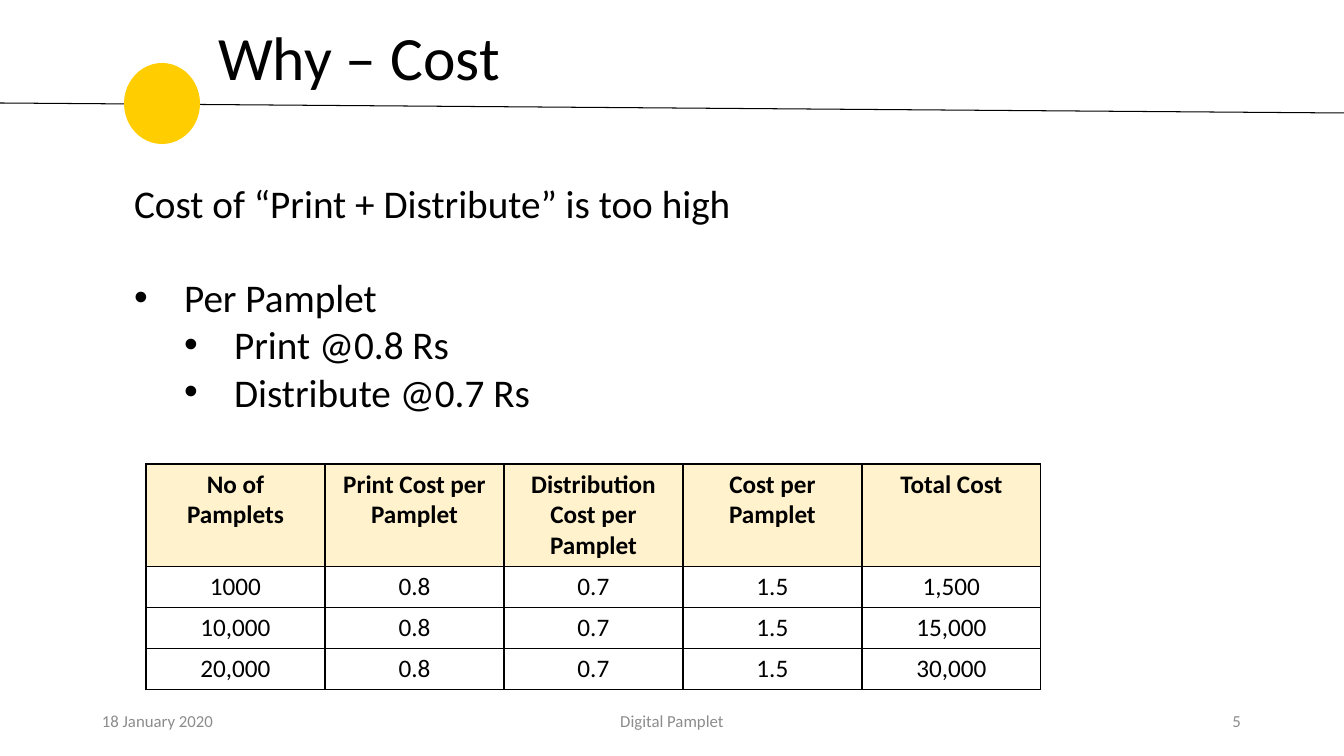
import dataclasses
import typing

import lxml.etree
import pptx
import pptx.dml.color
import pptx.enum.shapes
import pptx.enum.text
import pptx.oxml.ns
import pptx.util

EMU_PER_PIXEL = 914400 / 100.8
FONT = "Calibri"
COLOURS = {
    "ink": "000000",
    "footer": "8C8C8C",
    "accent": "FFCD00",
    "header": "FFF2CC",
}
ALIGN = pptx.enum.text.PP_ALIGN
ANCHOR = pptx.enum.text.MSO_ANCHOR


@dataclasses.dataclass(frozen=True)
class CostPoint:
    text: str
    level: int = 0
    bullet: bool = True
    space_before: int = 0


@dataclasses.dataclass(frozen=True)
class FooterPart:
    text: str
    left: int
    width: int
    align: ALIGN


def px(pixels: int) -> int:
    return pptx.util.Emu(round(pixels * EMU_PER_PIXEL))


def colour(name: str) -> pptx.dml.color.RGBColor:
    return pptx.dml.color.RGBColor.from_string(COLOURS[name])


def add_element(parent: typing.Any, tag: str, **attributes: str) -> typing.Any:
    return lxml.etree.SubElement(parent, pptx.oxml.ns.qn(tag), attributes)


def write_text(paragraph: typing.Any, text: str, *, size: int, ink: str = "ink",
               bold: bool = False, align: ALIGN = ALIGN.LEFT,
               line_spacing: float = 1.0, space_before: int = 0) -> None:
    paragraph.alignment = align
    paragraph.line_spacing = line_spacing
    paragraph.space_before = pptx.util.Pt(space_before)
    run = paragraph.add_run()
    run.text = text
    run.font.name = FONT
    run.font.size = pptx.util.Pt(size)
    run.font.bold = bold
    run.font.color.rgb = colour(ink)


def place(shape: typing.Any, left: int, top: int, width: int, height: int) -> None:
    shape.left, shape.top = px(left), px(top)
    shape.width, shape.height = px(width), px(height)


def prepare_frame(shape: typing.Any, anchor: ANCHOR) -> typing.Any:
    frame = shape.text_frame
    frame.word_wrap = True
    frame.auto_size = pptx.enum.text.MSO_AUTO_SIZE.NONE
    frame.vertical_anchor = anchor
    return frame


def add_header_rule(slide: typing.Any) -> None:
    rule = slide.shapes.add_connector(
        pptx.enum.shapes.MSO_CONNECTOR.STRAIGHT, px(0), px(103), px(1344), px(113))
    rule.line.color.rgb = colour("ink")
    rule.line.width = pptx.util.Pt(0.75)
    add_element(rule.element.spPr, "a:effectLst")
    dot = slide.shapes.add_shape(
        pptx.enum.shapes.MSO_SHAPE.OVAL, px(124), px(63), px(76), px(81))
    dot.shadow.inherit = False
    dot.fill.solid()
    dot.fill.fore_color.rgb = colour("accent")
    dot.line.fill.background()


def add_point(paragraph: typing.Any, point: CostPoint) -> None:
    paragraph.level = point.level
    write_text(paragraph, point.text, size=28, space_before=point.space_before)
    properties = paragraph._p.get_or_add_pPr()
    step = px(50)
    properties.set("marL", str(step * (point.level + 1) if point.bullet else 0))
    properties.set("indent", str(-step if point.bullet else 0))
    bullet = pptx.oxml.ns.qn("a:buChar" if point.bullet else "a:buNone")
    if point.bullet:
        add_element(properties, "a:buFont", typeface="Arial")
    marker = lxml.etree.SubElement(properties, bullet)
    if point.bullet:
        marker.set("char", "•")


def add_borders(cell: typing.Any) -> None:
    properties = cell._tc.get_or_add_tcPr()
    for position, side in enumerate(("a:lnL", "a:lnR", "a:lnT", "a:lnB")):
        border = add_element(properties, side, w=str(pptx.util.Pt(1)))
        add_element(add_element(border, "a:solidFill"), "a:srgbClr", val=COLOURS["ink"])
        properties.insert(position, border)


def add_cost_table(slide: typing.Any, rows: list[tuple[str, ...]]) -> None:
    heights = [101] + [41] * (len(rows) - 1)
    column_width = 179
    columns = len(rows[0])
    table = slide.shapes.add_table(
        len(rows), columns, px(146), px(464),
        px(column_width * columns), px(sum(heights))).table
    table.first_row = False
    table.horz_banding = False
    for column in table.columns:
        column.width = px(column_width)
    for row_index, (values, height) in enumerate(zip(rows, heights)):
        table.rows[row_index].height = px(height)
        is_header = row_index == 0
        for column_index, value in enumerate(values):
            cell = table.cell(row_index, column_index)
            write_text(cell.text_frame.paragraphs[0], value, size=18,
                       bold=is_header, align=ALIGN.CENTER)
            if is_header:
                cell.fill.solid()
                cell.fill.fore_color.rgb = colour("header")
            else:
                cell.fill.background()
            add_borders(cell)


def add_footer(slide: typing.Any, part: FooterPart) -> None:
    box = slide.shapes.add_textbox(px(part.left), px(701), px(part.width), px(40))
    frame = prepare_frame(box, ANCHOR.MIDDLE)
    write_text(frame.paragraphs[0], part.text, size=12, ink="footer", align=part.align)


COST_POINTS = [
    CostPoint("Cost of “Print + Distribute” is too high", bullet=False),
    CostPoint("Per Pamplet", space_before=34),
    CostPoint("Print @0.8 Rs", level=1),
    CostPoint("Distribute @0.7 Rs", level=1),
]
UNIT_COSTS = ("0.8", "0.7", "1.5")
COST_ROWS = [
    ("No of Pamplets", "Print Cost per Pamplet", "Distribution Cost per Pamplet",
     "Cost per Pamplet", "Total Cost"),
    ("1000", *UNIT_COSTS, "1,500"),
    ("10,000", *UNIT_COSTS, "15,000"),
    ("20,000", *UNIT_COSTS, "30,000"),
]
FOOTER_PARTS = [
    FooterPart("18 January 2020", 92, 302, ALIGN.LEFT),
    FooterPart("Digital Pamplet", 445, 454, ALIGN.CENTER),
    FooterPart("5", 949, 302, ALIGN.RIGHT),
]

deck = pptx.Presentation()
deck.slide_width, deck.slide_height = px(1344), px(756)
cost_slide = deck.slides.add_slide(deck.slide_layouts[1])
add_header_rule(cost_slide)

heading = cost_slide.shapes.title
place(heading, 208, 22, 678, 50)
write_text(prepare_frame(heading, ANCHOR.TOP).paragraphs[0], "Why – Cost",
           size=44, line_spacing=0.9)

cost_summary = cost_slide.placeholders[1]
place(cost_summary, 124, 174, 1026, 581)
summary_frame = prepare_frame(cost_summary, ANCHOR.TOP)
for index, cost_point in enumerate(COST_POINTS):
    add_point(summary_frame.add_paragraph() if index else summary_frame.paragraphs[0],
              cost_point)

add_cost_table(cost_slide, COST_ROWS)
for footer_part in FOOTER_PARTS:
    add_footer(cost_slide, footer_part)

deck.save("out.pptx")
